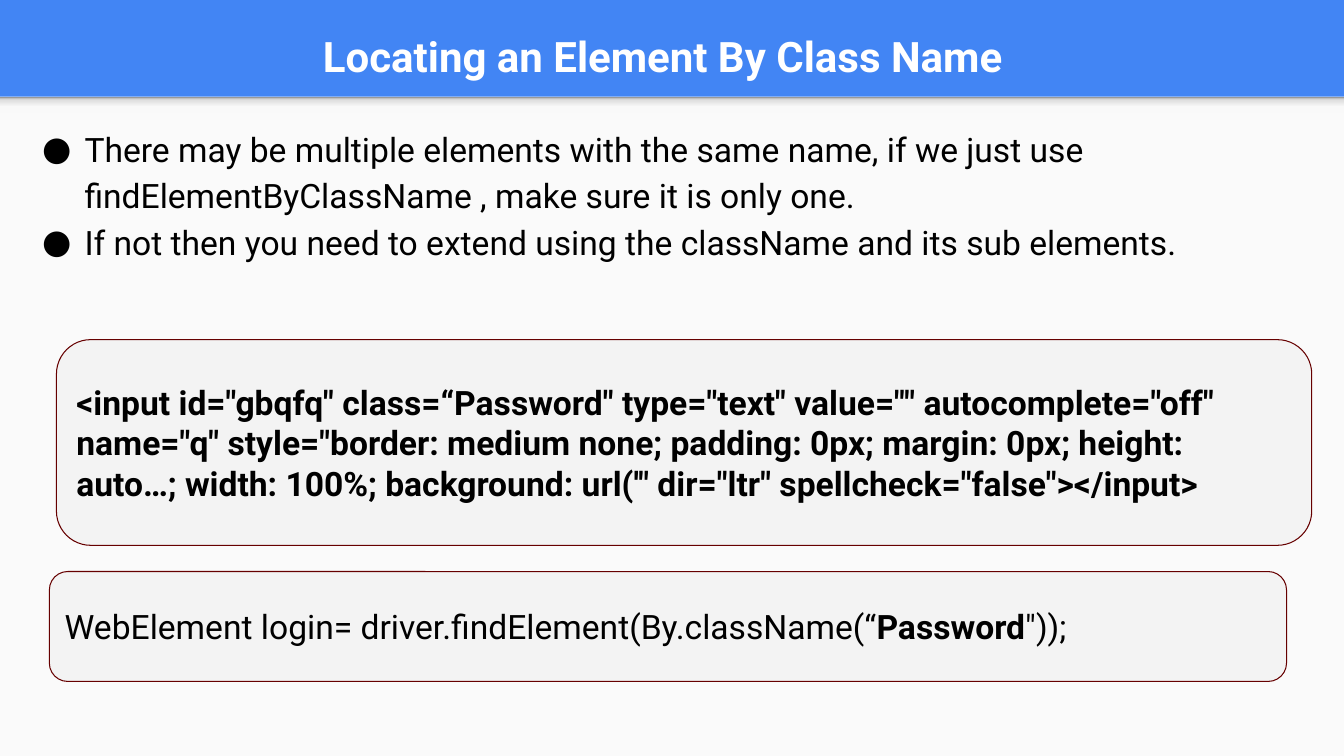
from lxml import etree
from pptx import Presentation
from pptx.dml.color import RGBColor
from pptx.enum.shapes import MSO_SHAPE
from pptx.enum.text import MSO_ANCHOR, PP_ALIGN
from pptx.oxml.ns import qn
from pptx.util import Pt

RECTANGLE = MSO_SHAPE.RECTANGLE
ROUNDED = MSO_SHAPE.ROUNDED_RECTANGLE
TOP, MIDDLE, BOTTOM = MSO_ANCHOR.TOP, MSO_ANCHOR.MIDDLE, MSO_ANCHOR.BOTTOM
LEFT, CENTER = PP_ALIGN.LEFT, PP_ALIGN.CENTER

PX = 9144
THEME = {
    "font": "Roboto", "title_size": 30, "text_size": 24,
    "banner": "4285F4", "page": "FAFAFA", "panel": "F3F3F3",
    "border": "660000", "title": "FFFFFF", "text": "000000",
    "shade": [(0, "F9F9F9"), (36, "F9F9F9"), (80, "DEDEDE"), (100, "999999")],
}


def add_block(kind, box, fill):
    block = slide.shapes.add_shape(kind, *[n * PX for n in box])
    block.shadow.inherit = False
    block.fill.solid()
    block.fill.fore_color.rgb = RGBColor.from_string(fill)
    block.line.fill.background()
    return block


def write(frame, paragraphs, anchor, align=LEFT, size="text_size", color="text"):
    frame.word_wrap = True
    frame.vertical_anchor = anchor
    frame.margin_left = frame.margin_right = 10 * PX
    frame.margin_top = frame.margin_bottom = 10 * PX
    for i, runs in enumerate(paragraphs):
        paragraph = frame.paragraphs[0] if i == 0 else frame.add_paragraph()
        paragraph.alignment = align
        for text, bold in runs:
            run = paragraph.add_run()
            run.text = text
            run.font.name = THEME["font"]
            run.font.size = Pt(THEME[size])
            run.font.bold = bold
            run.font.color.rgb = RGBColor.from_string(THEME[color])


prs = Presentation()
prs.slide_width, prs.slide_height = 1333 * PX, 750 * PX
slide = prs.slides.add_slide(prs.slide_layouts[6])
slide.background.fill.solid()
slide.background.fill.fore_color.rgb = RGBColor.from_string(THEME["banner"])

add_block(RECTANGLE, (0, 96, 1333, 654), THEME["page"])
banner_shade = add_block(RECTANGLE, (0, 96, 1333, 16), THEME["page"])
banner_shade.fill.gradient()
banner_shade.fill.gradient_angle = 90
stops = banner_shade.fill._fill._gradFill.find(qn("a:gsLst"))
for stop in list(stops):
    stops.remove(stop)
for percent, color in THEME["shade"]:
    stop = etree.SubElement(stops, qn("a:gs"), pos=str(percent * 1000))
    etree.SubElement(stop, qn("a:srgbClr"), val=color)

title = slide.shapes.add_textbox(*[n * PX for n in (14, 2, 1287, 88)])
write(title.text_frame, [[("Locating an Element By Class Name", True)]],
      BOTTOM, CENTER, "title_size", "title")

advice = slide.shapes.add_textbox(*[n * PX for n in (24, 112, 1277, 564)])
write(advice.text_frame, [
    [("There may be multiple elements with the same name, if we just use "
      "findElementByClassName , make sure it is only one.", False)],
    [("If not then you need to extend using the className and its sub elements.", False)],
], TOP)
for paragraph in advice.text_frame.paragraphs:
    paragraph.line_spacing = 1.15
    properties = paragraph._p.get_or_add_pPr()
    properties.set("marL", str(50 * PX))
    properties.set("indent", str(-42 * PX))
    bullet_color = etree.SubElement(properties, qn("a:buClr"))
    etree.SubElement(bullet_color, qn("a:srgbClr"), val=THEME["text"])
    etree.SubElement(properties, qn("a:buFont"), typeface=THEME["font"])
    etree.SubElement(properties, qn("a:buChar"), char="●")

markup = [
    ('<input id="gbqfq" class=“Password" type="text" value="" autocomplete="off" '
     'name="q" style="border: medium none; padding: 0px; margin: 0px; height: '
     'auto…; width: 100%; background: url(\'" dir="ltr" spellcheck="false"></input>', True),
]
locator = [
    ("WebElement login= driver.findElement(By.className(“", False),
    ("Password", True),
    ('"));', False),
]
for box, code in [((56, 337, 1245, 204), markup), ((49, 567, 1227, 109), locator)]:
    panel = add_block(ROUNDED, box, THEME["panel"])
    panel.line.color.rgb = RGBColor.from_string(THEME["border"])
    panel.line.width = Pt(0.75)
    write(panel.text_frame, [code], MIDDLE)

prs.save("out.pptx")
